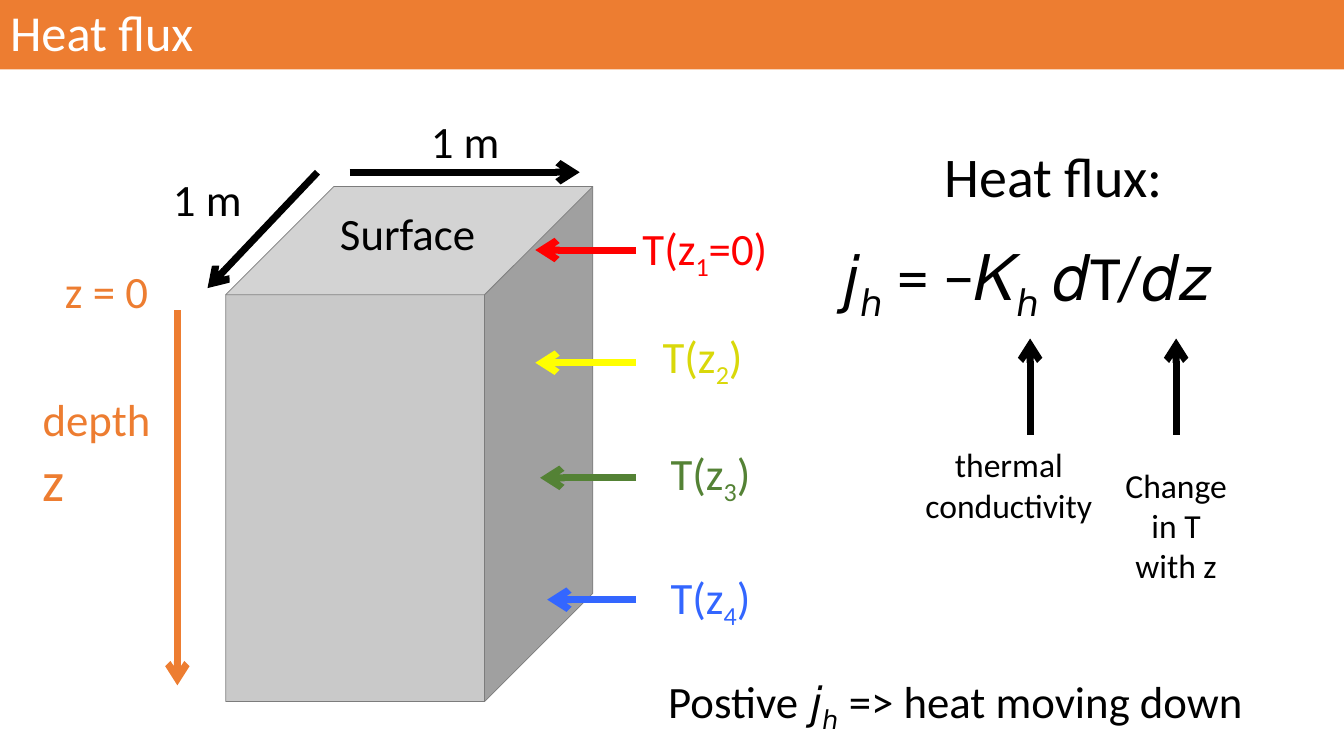
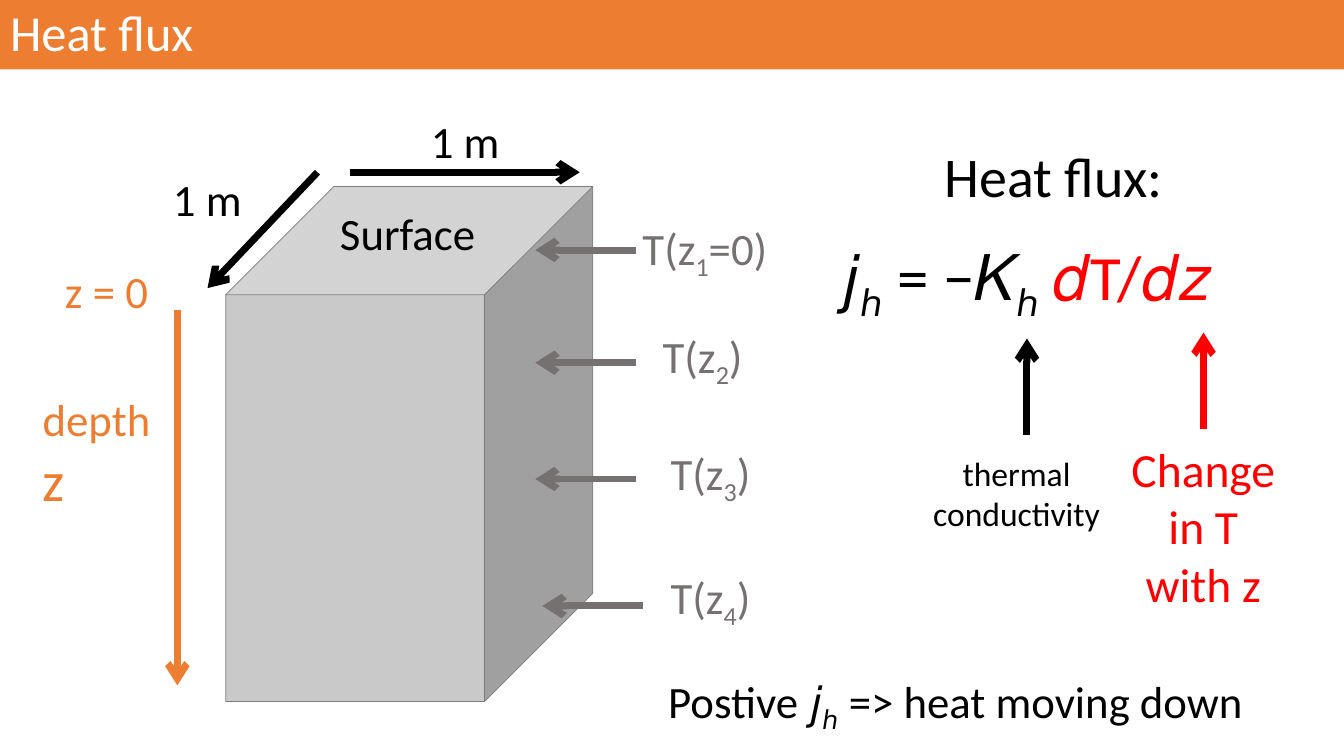
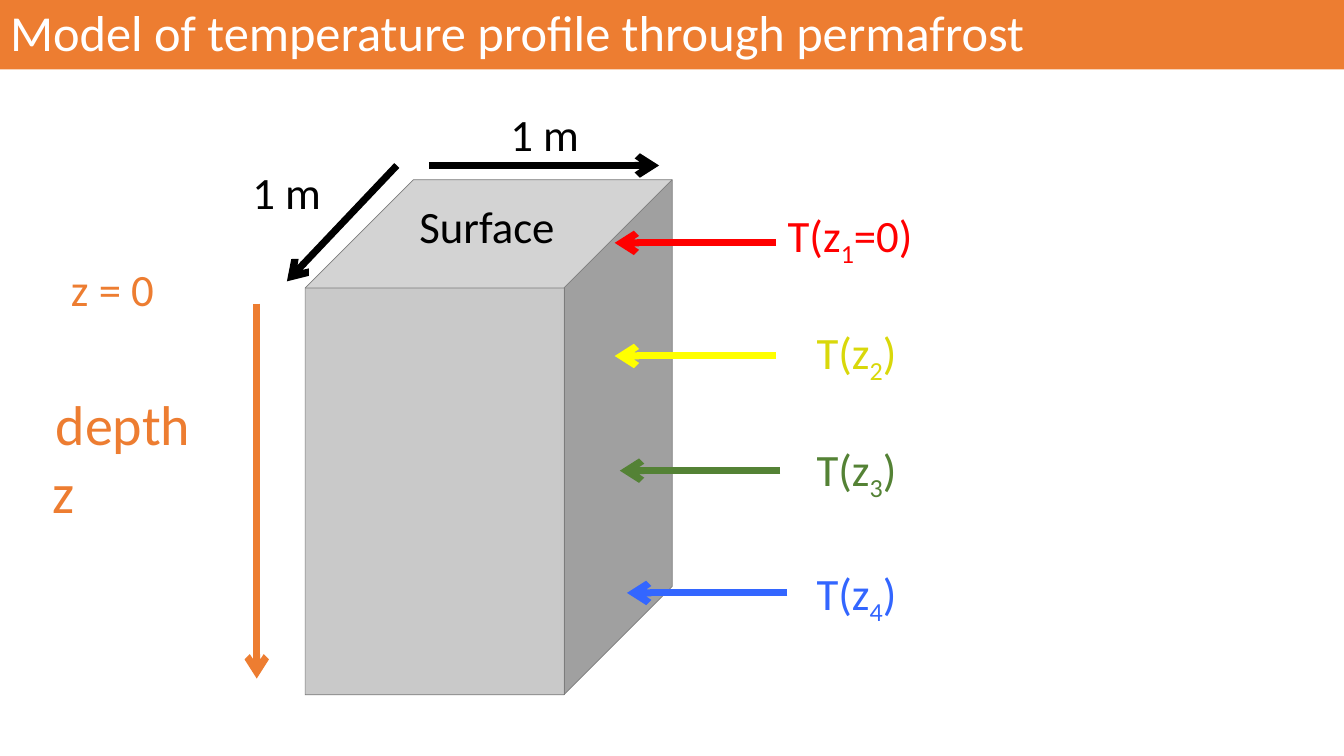
import dataclasses

import pptx
import pptx.dml.color
import pptx.enum.shapes
import pptx.enum.text
import pptx.oxml
import pptx.oxml.ns
import pptx.util

Cm, Pt = pptx.util.Cm, pptx.util.Pt
RGB = pptx.dml.color.RGBColor.from_string
ALIGN = pptx.enum.text.PP_ALIGN
FIT = pptx.enum.text.MSO_AUTO_SIZE


@dataclasses.dataclass(frozen=True)
class Theme:
    font: str = "Calibri"
    white: str = "FFFFFF"
    black: str = "000000"
    orange: str = "ED7D31"
    red: str = "FF0000"
    yellow: str = "FFFF00"
    mustard: str = "D9D80A"
    green: str = "548235"
    blue: str = "3366FF"
    gray: str = "767171"
    block: str = "C9C9C9"
    edge: str = "7C7C7C"
    small: int = 24
    body: int = 32
    strong: int = 34
    title: int = 36
    large: int = 40
    math: int = 45
    stroke: int = 5


theme = Theme()


def add_text(slide, text, left, top, width, height=1.63, size=theme.body,
             color=theme.black, align=ALIGN.CENTER, wrap=True):
    """Add a text box; every second part between bars is a subscript."""
    box = slide.shapes.add_textbox(Cm(left), Cm(top), Cm(width), Cm(height))
    frame = box.text_frame
    for key, value in {"word_wrap": wrap, "auto_size": FIT.SHAPE_TO_FIT_TEXT}.items():
        setattr(frame, key, value)
    for row, line in enumerate(text.split("\n")):
        para = frame.add_paragraph() if row else frame.paragraphs[0]
        para.alignment = align
        for index, part in enumerate(line.split("|")):
            run = para.add_run()
            run.text = part
            for key, value in {"name": theme.font, "size": Pt(size)}.items():
                setattr(run.font, key, value)
            run.font.color.rgb = RGB(color)
            if index % 2:
                run._r.get_or_add_rPr().set("baseline", "-25000")
    return frame


def add_arrow(slide, color, *ends):
    """Draw an arrow along ends: x and y of the start, then of the head."""
    line = slide.shapes.add_connector(
        pptx.enum.shapes.MSO_CONNECTOR.STRAIGHT, *map(Cm, ends))
    line.line.width = Pt(theme.stroke)
    line.line.color.rgb = RGB(color)
    space = pptx.oxml.ns.nsdecls("a")
    line.line._get_or_add_ln().append(
        pptx.oxml.parse_xml(f'<a:tailEnd {space} type="arrow"/>'))
    line._element.spPr.append(pptx.oxml.parse_xml(f"<a:effectLst {space}/>"))


# Depth marks: arrow start, arrow head, arrow height, label left, label top
lessons = [
    {
        "title": "Heat flux", "shift": (0, 0), "zero": (0.41, 6.53),
        "depth": (0.81, 9.75, 3.25, 3.33, theme.body),
        "marks": [(16.03, 13.49, 6.3, 15.49, 5.44), (16.03, 13.49, 9.14, 16.03, 8.15),
                  (16.03, 13.61, 12.04, 16.23, 11.1), (16.03, 13.79, 15.11, 16.23, 14.22)],
        "colors": [(theme.red, theme.red), (theme.yellow, theme.mustard),
                   (theme.green, theme.green), (theme.blue, theme.blue)],
        "slope": theme.black,
        "terms": [
            ("thermal conductivity", (22.96, 11.07, 4.93, 2.31, theme.small, theme.black),
             (25.96, 10.95, 25.96, 8.53)),
            ("Change in T with z", (28.04, 11.58, 3.2, 3.33, theme.small, theme.black),
             (29.64, 10.95, 29.64, 8.53))],
    },
    {
        "title": "Heat flux", "shift": (0, 0), "zero": (0.41, 6.53),
        "depth": (0.81, 9.75, 3.25, 3.33, theme.body),
        "marks": [(16.03, 13.49, 6.3, 15.49, 5.44), (16.03, 13.49, 9.14, 16.03, 8.15),
                  (16.03, 13.49, 12.07, 16.23, 11.1), (16.21, 13.67, 15.27, 16.23, 14.22)],
        "colors": [(theme.gray, theme.gray)] * 4,
        "slope": theme.red,
        "terms": [
            ("thermal conductivity", (22.71, 11.28, 5.82, 2.31, theme.small, theme.black),
             (25.88, 10.97, 25.88, 8.53)),
            ("Change in T with z", (27.99, 10.97, 4.67, 4.62, theme.strong, theme.red),
             (30.33, 10.82, 30.33, 8.38))],
    },
    {
        "title": "Model of temperature profile through permafrost",
        "shift": (2, -0.17), "zero": (0.56, 6.48),
        "depth": (1.07, 9.7, 4.06, 3.68, theme.large),
        "marks": [(19.56, 15.49, 6.12, 19.15, 5.11), (19.56, 15.49, 8.97, 19.91, 8.05),
                  (19.66, 15.62, 11.86, 19.91, 11), (19.84, 15.8, 14.94, 19.91, 14.12)],
        "colors": [(theme.red, theme.red), (theme.yellow, theme.mustard),
                   (theme.green, theme.green), (theme.blue, theme.blue)],
        "terms": [],
    },
]

deck = pptx.Presentation()
deck.slide_width, deck.slide_height = Cm(33.87), Cm(19.05)

for lesson in lessons:
    slide = deck.slides.add_slide(deck.slide_layouts[5])

    # Title band
    band = slide.shapes.title
    place = {"left": 0, "top": 0, "width": deck.slide_width, "height": Cm(1.75)}
    for key, value in place.items():
        setattr(band, key, value)
    band.fill.solid()
    band.fill.fore_color.rgb = RGB(theme.orange)
    band.text_frame.text = lesson["title"]
    band.text_frame.auto_size = FIT.NONE
    band.text_frame.vertical_anchor = pptx.enum.text.MSO_ANCHOR.MIDDLE
    para = band.text_frame.paragraphs[0]
    for key, value in {"alignment": ALIGN.LEFT, "line_spacing": 0.9}.items():
        setattr(para, key, value)
    font = para.runs[0].font
    for key, value in {"name": theme.font, "size": Pt(theme.title)}.items():
        setattr(font, key, value)
    font.color.rgb = RGB(theme.white)

    # Block of ground with its sides
    dx, dy = lesson["shift"]
    cube = slide.shapes.add_shape(
        pptx.enum.shapes.MSO_SHAPE.CUBE,
        Cm(5.69 + dx), Cm(4.7 + dy), Cm(9.25), Cm(12.98))
    cube.adjustments[0] = 0.295
    cube.shadow.inherit = False
    cube.fill.solid()
    cube.fill.fore_color.rgb = RGB(theme.block)
    cube.line.color.rgb = RGB(theme.edge)
    cube.line.width = Pt(0.5)
    for color, x1, y1, x2, y2 in [(theme.orange, 4.47, 7.82, 4.47, 17.27),
                                  (theme.black, 8, 4.34, 5.23, 7.26),
                                  (theme.black, 8.81, 4.34, 14.61, 4.34)]:
        add_arrow(slide, color, x1 + dx, y1 + dy, x2 + dx, y2 + dy)
    for text, left, top in [("Surface", 8, 5.05), ("1 m", 2.95, 4.19), ("1 m", 9.45, 2.74)]:
        add_text(slide, text, left + dx, top + dy, 4.55)

    # Depth scale
    add_text(slide, "z = 0", *lesson["zero"], 4.55, color=theme.orange)
    depth = add_text(slide, "depth\nz", *lesson["depth"], theme.orange, wrap=False)
    depth.paragraphs[1].alignment = ALIGN.LEFT
    depth.paragraphs[1].runs[0].font.size = Pt(theme.large)

    # Temperature at each depth
    rows = zip(lesson["marks"], lesson["colors"])
    for level, ((start, head, y, left, top), (stroke, ink)) in enumerate(rows, 1):
        add_arrow(slide, stroke, start, y, head, y)
        text, width = (f"T(z|{level}|=0)", 4.55) if level == 1 else (f"T(z|{level}|)", 3.35)
        add_text(slide, text, left, top, width, color=ink)

    # Flux equation and its terms
    for text, spot, ends in lesson["terms"]:
        add_arrow(slide, spot[-1], *ends)
        add_text(slide, text, *spot)
    if lesson["terms"]:
        flat = {"align": ALIGN.LEFT, "wrap": False}
        add_text(slide, "Heat flux:", 23.55, 3.45, 6.1, 1.96, theme.large, **flat)
        law = add_text(slide, "𝑗|ℎ| = −𝐾|ℎ| 𝑑T/𝑑𝑧",
                       20.93, 5.87, 11.84, 2.18, theme.math, **flat)
        law.paragraphs[0].runs[-1].font.color.rgb = RGB(lesson["slope"])
        add_text(slide, "Postive 𝑗|ℎ| => heat moving down", 16.59, 16.84, 15.65, **flat)

deck.save("out.pptx")
